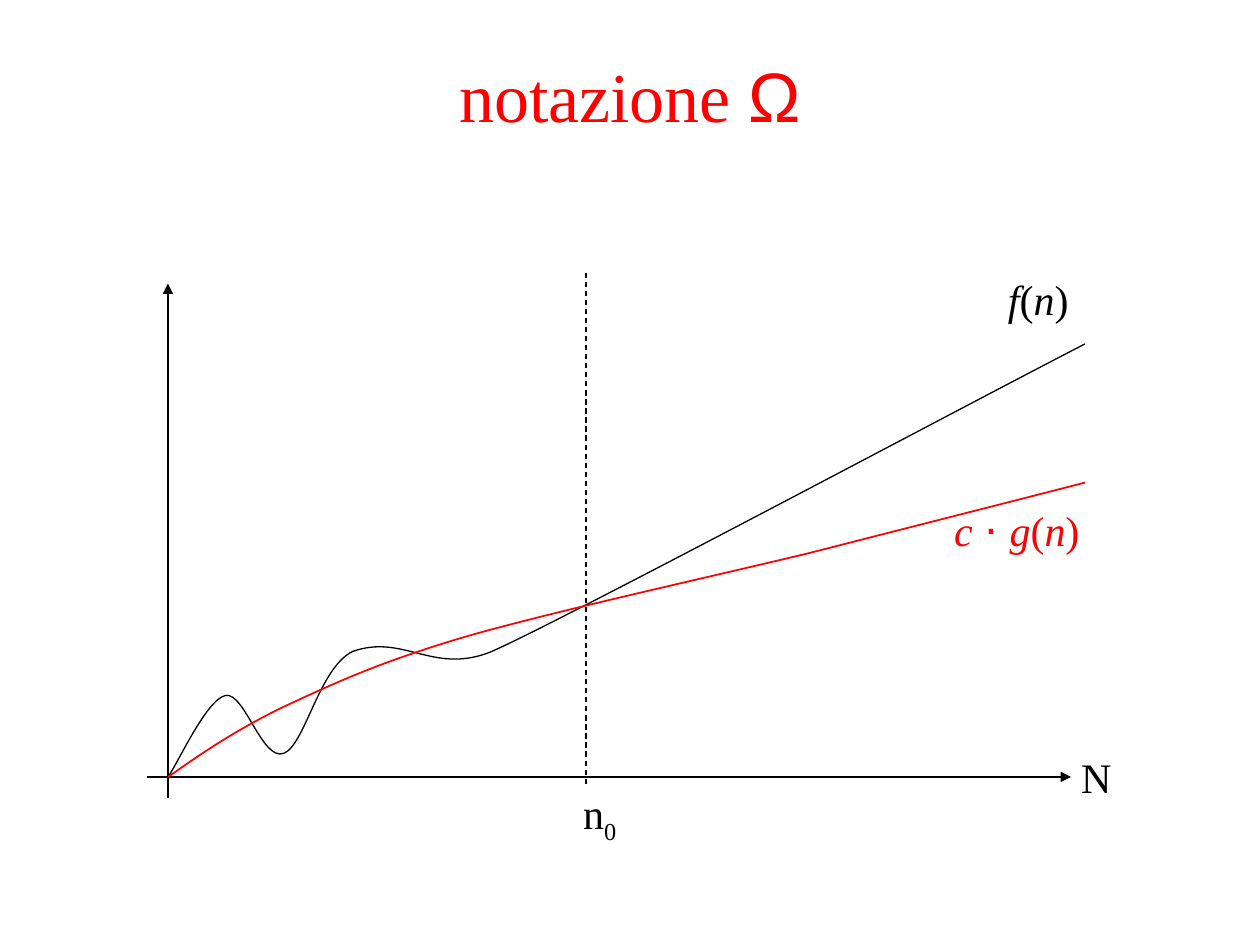
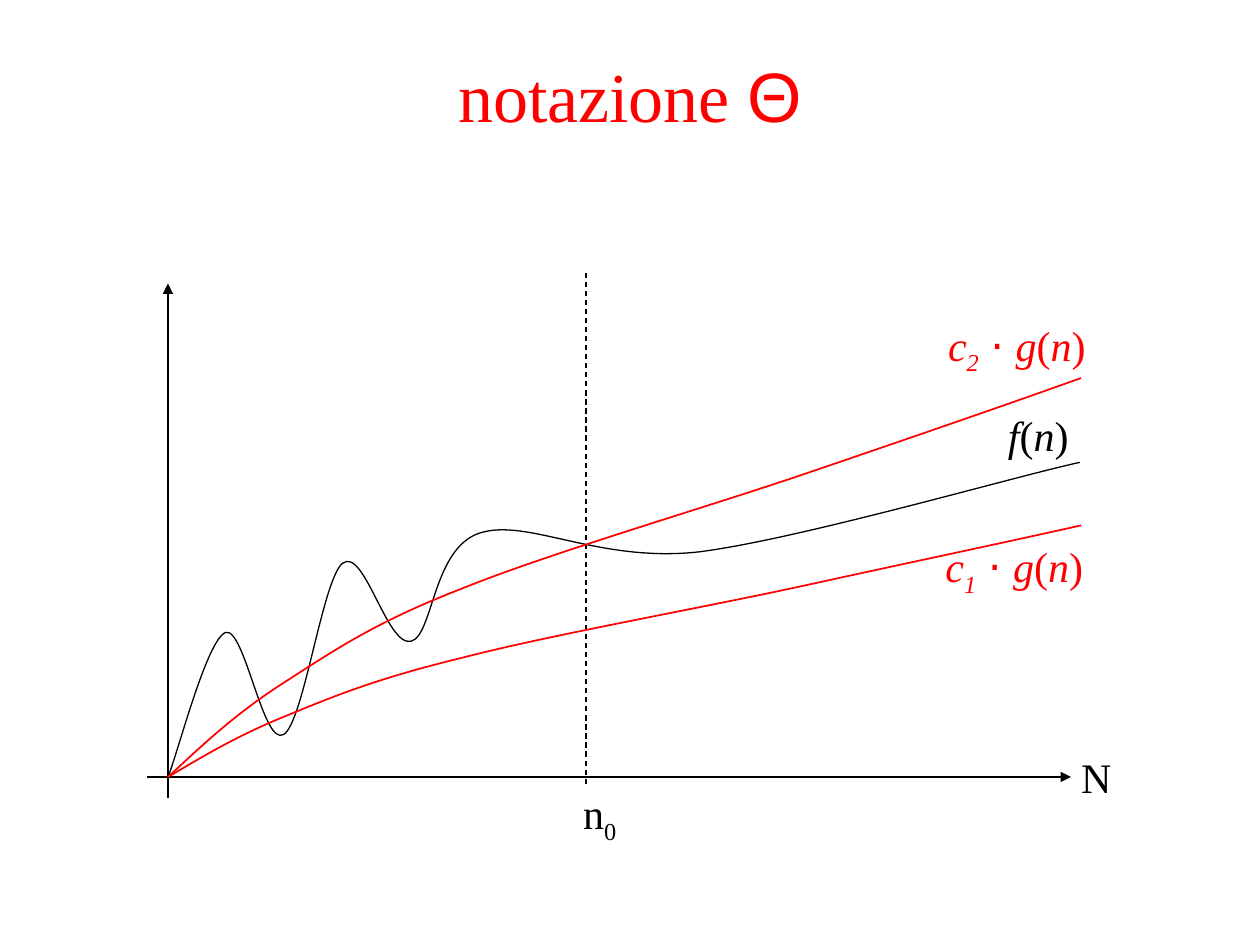
from dataclasses import dataclass

from lxml.etree import SubElement
from pptx import Presentation
from pptx.dml.color import RGBColor
from pptx.enum.dml import MSO_LINE
from pptx.enum.text import MSO_ANCHOR, MSO_AUTO_SIZE, PP_ALIGN
from pptx.oxml.ns import qn
from pptx.util import Inches, Pt


@dataclass(frozen=True)
class Theme:
    black: RGBColor = RGBColor(0, 0, 0)
    red: RGBColor = RGBColor(255, 0, 0)
    text_font: str = "Times New Roman"
    symbol_font: str = "Arial"
    title_size: int = 40
    label_size: int = 24
    thin: float = 0.75
    bound: float = 1


THEME = Theme()
WIDTH, HEIGHT = 10, 7.5

# Title and axes lie on a grid of twelve cells to the inch
CELL = 1 / 12
TITLE_TOP, TITLE_HEIGHT = 5 * CELL, 8 * CELL
ORIGIN = (16 * CELL, 74 * CELL)
TICK = 2 * CELL
AXIS_END_X, AXIS_END_Y = 102 * CELL, 27 * CELL
THRESHOLD_X, THRESHOLD_TOP, THRESHOLD_BOTTOM = 4.65, 26 * CELL, 75 * CELL

# A label is a list of (text, style names)
F_OF_N = [("f", "italic"), ("(", ""), ("n", "italic"), (")", "")]


def bound_label(index=""):
    """Runs for c · g(n), with an optional index on the constant."""
    subscript = [(index, "italic subscript")] if index else []
    return [("c", "italic"), *subscript, (" ⋅ ", "italic symbol"),
            ("g", "italic"), *F_OF_N[1:]]


AXIS_LABELS = [
    ((8.48, 5.96, 0.44, 0.46), [("N", "")], THEME.black),
    ((4.53, 6.21, 0.46, 0.51), [("n", ""), ("0", "subscript")], THEME.black),
]

# Curves leave the origin; each row holds two control points and an end point
SLIDES = [
    {
        "symbol": "Ω",
        "curves": [
            (THEME.black, THEME.thin, [
                (1.41, 6.06, 1.64, 5.55, 1.79, 5.52),
                (1.94, 5.49, 2.08, 6.04, 2.25, 5.98),
                (2.42, 5.92, 2.53, 5.3, 2.8, 5.17),
                (3.2, 5.03, 3.43, 5.35, 3.88, 5.18),
                (4.32, 5, 7.62, 3.24, 8.61, 2.73),
            ]),
            (THEME.red, THEME.bound, [
                (1.6, 5.98, 1.86, 5.8, 2.25, 5.61),
                (2.64, 5.43, 2.97, 5.27, 3.67, 5.06),
                (4.36, 4.86, 5.59, 4.59, 6.42, 4.39),
                (7.24, 4.18, 8.15, 3.95, 8.61, 3.83),
            ]),
        ],
        "labels": [
            ((7.4, 4, 1.34, 0.46), bound_label(), THEME.red),
            ((7.9, 2.17, 0.68, 0.46), F_OF_N, THEME.black),
        ],
    },
    {
        "symbol": "Θ",
        "curves": [
            (THEME.black, THEME.thin, [
                (1.41, 5.98, 1.64, 5.08, 1.79, 5.02),
                (1.94, 4.97, 2.09, 5.93, 2.25, 5.83),
                (2.41, 5.74, 2.56, 4.59, 2.72, 4.47),
                (2.89, 4.34, 3.07, 5.13, 3.26, 5.09),
                (3.44, 5.05, 3.43, 4.35, 3.81, 4.23),
                (4.19, 4.11, 4.75, 4.47, 5.55, 4.38),
                (6.34, 4.28, 8.06, 3.78, 8.57, 3.67),
            ]),
            (THEME.red, THEME.bound, [
                (1.6, 5.92, 1.86, 5.67, 2.25, 5.42),
                (2.64, 5.17, 2.97, 4.94, 3.67, 4.67),
                (4.36, 4.39, 5.6, 4.03, 6.42, 3.75),
                (7.24, 3.47, 7.91, 3.24, 8.58, 3),
            ]),
            (THEME.red, THEME.bound, [
                (1.6, 6.01, 1.86, 5.85, 2.25, 5.69),
                (2.64, 5.53, 2.97, 5.39, 3.67, 5.22),
                (4.36, 5.04, 5.6, 4.82, 6.42, 4.64),
                (7.24, 4.46, 7.91, 4.32, 8.58, 4.17),
            ]),
        ],
        "labels": [
            ((7.35, 2.49, 1.44, 0.51), bound_label("2"), THEME.red),
            ((7.9, 3.25, 0.68, 0.46), F_OF_N, THEME.black),
            ((7.33, 4.25, 1.44, 0.51), bound_label("1"), THEME.red),
        ],
    },
]


def apply_format(target, values):
    for name, value in values.items():
        setattr(target, name, value)


# Text
def write_runs(paragraph, runs, size, color):
    paragraph.alignment = PP_ALIGN.CENTER
    for text, style in runs:
        run = paragraph.add_run()
        run.text = text
        apply_format(run.font, {
            "name": THEME.symbol_font if "symbol" in style else THEME.text_font,
            "size": Pt(size),
            "italic": "italic" in style,
        })
        run.font.color.rgb = color
        if "subscript" in style:
            run.font._element.set("baseline", "-25000")


def add_title(slide, symbol):
    title = slide.shapes.title
    apply_format(title, {"left": 0, "top": Inches(TITLE_TOP),
                         "width": Inches(WIDTH),
                         "height": Inches(TITLE_HEIGHT)})
    apply_format(title.text_frame, {"vertical_anchor": MSO_ANCHOR.MIDDLE,
                                    "auto_size": MSO_AUTO_SIZE.NONE,
                                    "word_wrap": True})
    write_runs(title.text_frame.paragraphs[0],
               [("notazione ", ""), (symbol, "symbol")],
               THEME.title_size, THEME.red)


def add_label(slide, box, runs, color):
    frame = slide.shapes.add_textbox(*map(Inches, box)).text_frame
    apply_format(frame, {"word_wrap": False,
                         "auto_size": MSO_AUTO_SIZE.SHAPE_TO_FIT_TEXT})
    paragraph = frame.paragraphs[0]
    paragraph.line_spacing = 0.9
    write_runs(paragraph, runs, THEME.label_size, color)


# Lines and curves
def style_line(line, color, width):
    line.color.rgb = color
    line.width = Pt(width)


def add_line(slide, start, end, arrow=False, dashed=False):
    connector = slide.shapes.add_connector(1, *map(Inches, (*start, *end)))
    style_line(connector.line, THEME.black, THEME.thin)
    if dashed:
        connector.line.dash_style = MSO_LINE.DASH
    properties = connector._element.spPr
    if arrow:
        SubElement(properties.find(qn("a:ln")), qn("a:tailEnd"), type="triangle")
    SubElement(properties, qn("a:effectLst"))


def add_curve(slide, color, width, segments):
    """Outline the end points, then bend each side into a cubic Bézier."""
    builder = slide.shapes.build_freeform(*map(Inches, ORIGIN))
    builder.add_line_segments(
        [tuple(map(Inches, segment[4:])) for segment in segments], close=False)
    curve = builder.convert_to_shape()
    sides = list(curve._element.iter(qn("a:lnTo")))
    for side, segment in zip(sides, segments):
        side.tag = qn("a:cubicBezTo")
        side.clear()
        for x, y in zip(segment[::2], segment[1::2]):
            SubElement(side, qn("a:pt"), x=str(Inches(x) - curve.left),
                       y=str(Inches(y) - curve.top))
    curve.shadow.inherit = False
    curve.fill.background()
    style_line(curve.line, color, width)


def add_axes(slide):
    x, y = ORIGIN
    add_line(slide, (x - TICK, y), (AXIS_END_X, y), arrow=True)
    add_line(slide, (x, y + TICK), (x, AXIS_END_Y), arrow=True)
    for label in AXIS_LABELS:
        add_label(slide, *label)
    add_line(slide, (THRESHOLD_X, THRESHOLD_TOP),
             (THRESHOLD_X, THRESHOLD_BOTTOM), dashed=True)


def main():
    presentation = Presentation()
    apply_format(presentation, {"slide_width": Inches(WIDTH),
                                "slide_height": Inches(HEIGHT)})
    title_only = presentation.slide_layouts[5]
    for content in SLIDES:
        slide = presentation.slides.add_slide(title_only)
        add_title(slide, content["symbol"])
        add_axes(slide)
        for curve in content["curves"]:
            add_curve(slide, *curve)
        for label in content["labels"]:
            add_label(slide, *label)
    presentation.save("out.pptx")


if __name__ == "__main__":
    main()
